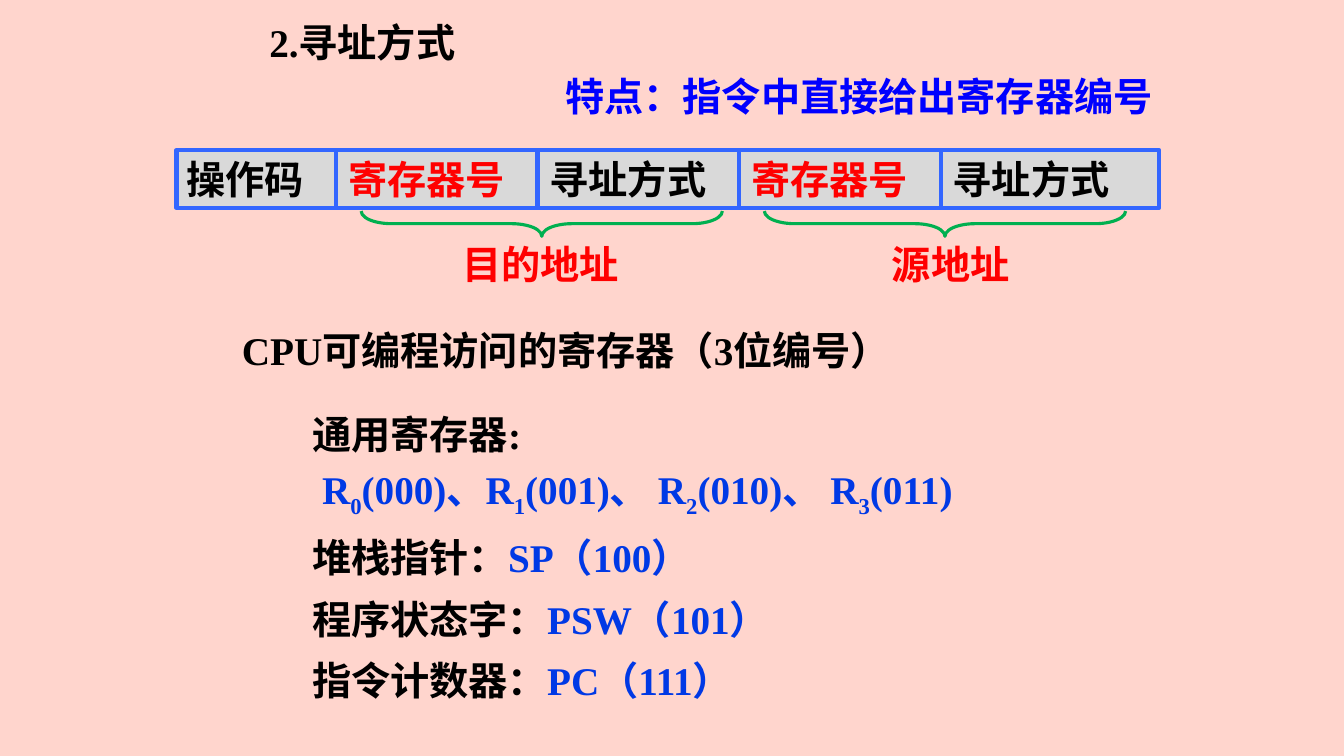
from lxml import etree
from pptx import Presentation
from pptx import util as u
from pptx.dml.color import RGBColor
from pptx.enum import shapes, text
from pptx.oxml.ns import qn

PX = 9525  # EMU per px, slide is 1280 x 720
FONT = "Times New Roman"
PINK = RGBColor(0xFF, 0xD5, 0xCD)
BLACK = RGBColor(0x00, 0x00, 0x00)
RED = RGBColor(0xFF, 0x00, 0x00)
BLUE = RGBColor(0x00, 0x00, 0xFF)
CODE_BLUE = RGBColor(0x00, 0x39, 0xE5)
BORDER = RGBColor(0x33, 0x66, 0xFF)
GREY = RGBColor(0xD9, 0xD9, 0xD9)
GREEN = RGBColor(0x00, 0xB0, 0x50)


def px(*lengths):
    return [u.Emu(length * PX) for length in lengths]


def add_run(paragraph, words, color, subscript=False):
    run = paragraph.add_run()
    run.text = words
    run.font.name = FONT
    run.font.size = u.Pt(28)
    run.font.bold = True
    run.font.color.rgb = color
    if subscript:
        run.font._element.set("baseline", "-25000")


def prepare_frame(shape, wrap):
    frame = shape.text_frame
    frame.word_wrap = wrap
    frame.auto_size = text.MSO_AUTO_SIZE.SHAPE_TO_FIT_TEXT
    frame.vertical_anchor = text.MSO_ANCHOR.TOP
    frame.paragraphs[0].alignment = text.PP_ALIGN.LEFT
    return frame


def add_label(slide, box, words, color=BLACK, wrap=False):
    frame = prepare_frame(slide.shapes.add_textbox(*px(*box)), wrap)
    add_run(frame.paragraphs[0], words, color)


def add_instruction_format(slide, box):
    left, top, width, height = box
    first_divider, field_width, gap, inset = left + 152, 192, 12, 10
    dividers = [first_divider + field_width * i for i in range(4)]

    # Bar with one tab stop per field
    bar = slide.shapes.add_shape(shapes.MSO_SHAPE.RECTANGLE, *px(*box))
    bar.shadow.inherit = False
    bar.fill.solid()
    bar.fill.fore_color.rgb = GREY
    bar.line.color.rgb = BORDER
    bar.line.width = u.Pt(3)
    paragraph = prepare_frame(bar, True).paragraphs[0]
    tabs = etree.SubElement(paragraph._p.get_or_add_pPr(), qn("a:tabLst"))
    for x in dividers:
        position = (x + gap - left - inset) * PX
        etree.SubElement(tabs, qn("a:tab"), pos=str(position), algn="l")
    add_run(paragraph, "操作码", BLACK)
    for _ in range(2):
        add_run(paragraph, "\t寄存器号", RED)
        add_run(paragraph, "\t寻址方式", BLACK)

    # Field dividers
    for x in dividers:
        divider = slide.shapes.add_connector(
            shapes.MSO_CONNECTOR.STRAIGHT, *px(x, top, x, top + height))
        divider.line.color.rgb = BORDER
        divider.line.width = u.Pt(3)
        etree.SubElement(divider._element.spPr, qn("a:effectLst"))

    # Braces and address names under the field pairs
    depth, span = 24, 344
    for x, label_left, label_width, words in (
            (dividers[1], 431, 171, "目的地址"), (dividers[3], 840, 133, "源地址")):
        middle_x, middle_y = x + 4, top + height + 15
        brace = slide.shapes.add_shape(
            shapes.MSO_SHAPE.LEFT_BRACE,
            *px(middle_x - depth // 2, middle_y - span // 2, depth, span))
        brace.rotation = 270
        brace.adjustments[0] = 1.194
        brace.adjustments[1] = 0.5
        brace.shadow.inherit = False
        brace.fill.background()
        brace.line.color.rgb = GREEN
        brace.line.width = u.Pt(2.25)
        add_label(slide, (label_left, top + 81, label_width, 55), words, RED)


def add_register_list(slide, box):
    frame = prepare_frame(slide.shapes.add_textbox(*px(*box)), True)

    def add_line(paragraph):
        paragraph.line_spacing = u.Pt(30)
        if paragraph is not first:
            paragraph.space_before = u.Pt(14)
        return paragraph

    # General registers
    first = frame.paragraphs[0]
    add_run(add_line(first), "通用寄存器:", BLACK)
    paragraph = add_line(frame.add_paragraph())
    prefix = " R"
    for number in range(4):
        add_run(paragraph, prefix, CODE_BLUE)
        add_run(paragraph, str(number), CODE_BLUE, subscript=True)
        add_run(paragraph, f"({number:03b})", CODE_BLUE)
        prefix = "、R" if number == 0 else "、 R"

    # Special registers
    for name, code in (("堆栈指针：", "SP（100）"), ("程序状态字：", "PSW（101）"),
                       ("指令计数器：", "PC（111）")):
        paragraph = add_line(frame.add_paragraph())
        add_run(paragraph, name, BLACK)
        add_run(paragraph, code, CODE_BLUE)


def build_addressing_slide(presentation):
    slide = presentation.slides.add_slide(presentation.slide_layouts[6])
    slide.background.fill.solid()
    slide.background.fill.fore_color.rgb = PINK
    add_label(slide, (247, 13, 234, 55), "2.寻址方式", wrap=True)
    add_label(slide, (221, 306, 669, 55), "CPU可编程访问的寄存器（3位编号）", wrap=True)
    add_register_list(slide, (288, 391, 677, 300))
    add_instruction_format(slide, (168, 143, 936, 55))
    add_label(slide, (529, 64, 579, 54), "特点：指令中直接给出寄存器编号", BLUE)


def main():
    presentation = Presentation()
    presentation.slide_width, presentation.slide_height = px(1280, 720)
    build_addressing_slide(presentation)
    presentation.save("out.pptx")


if __name__ == "__main__":
    main()
